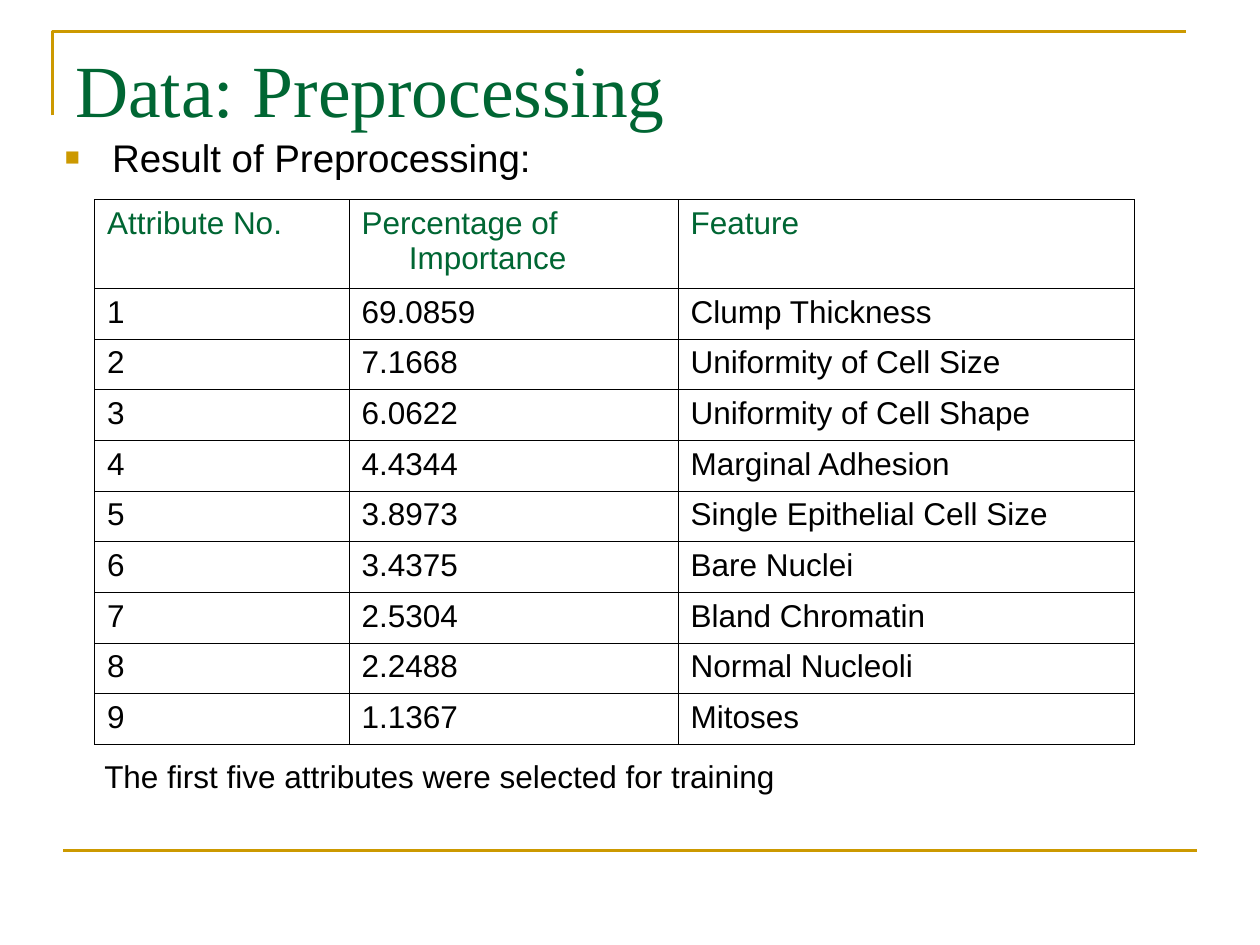
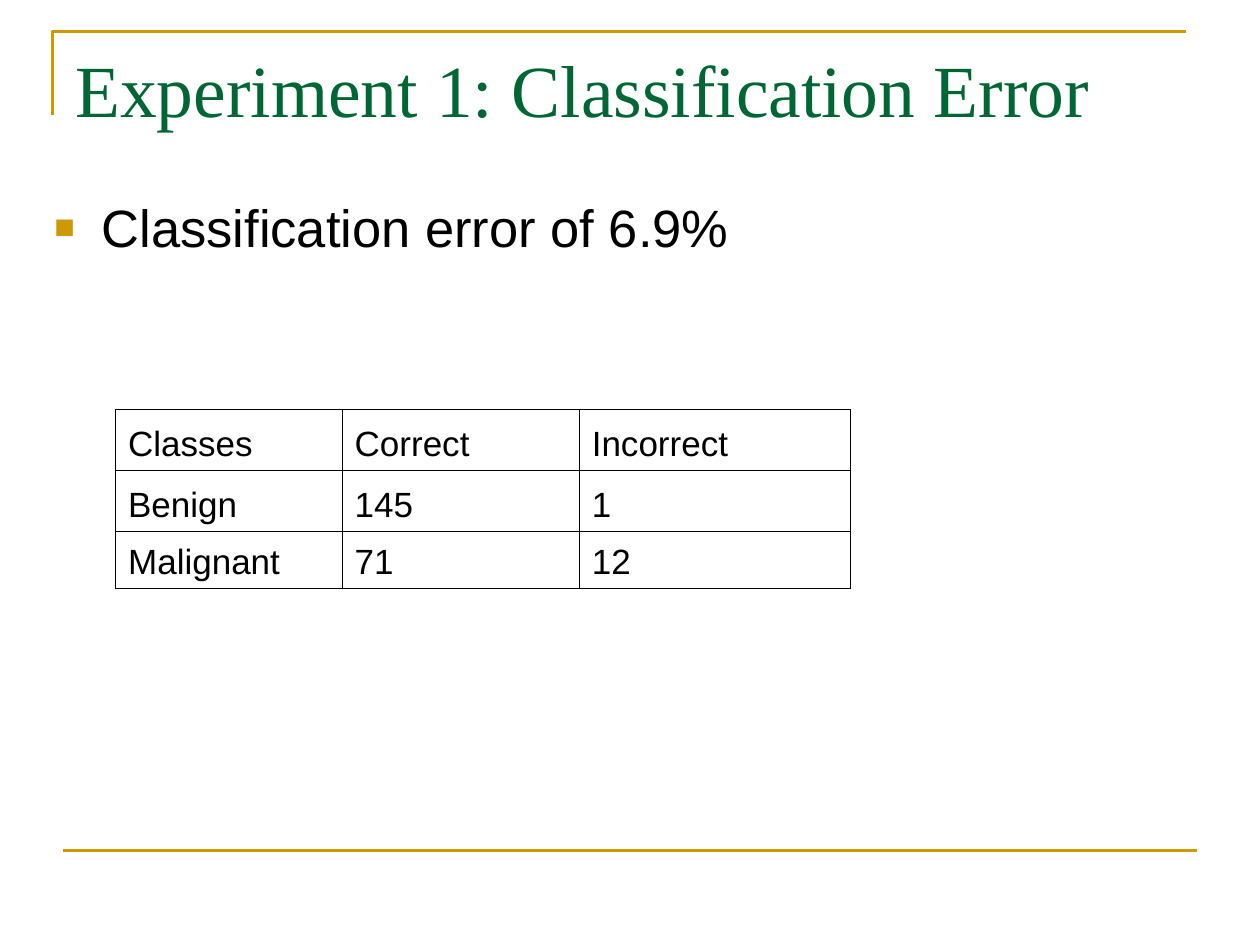
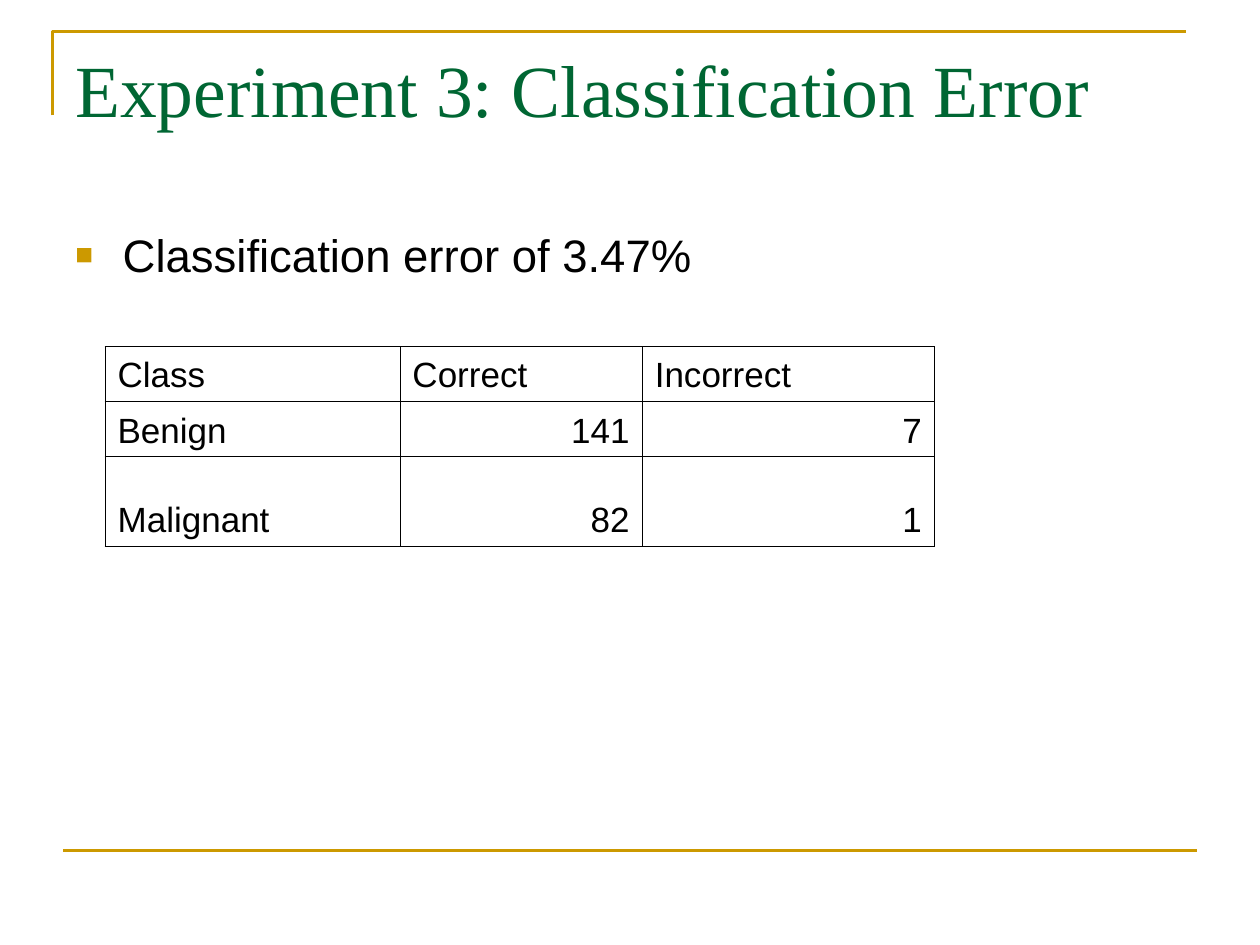
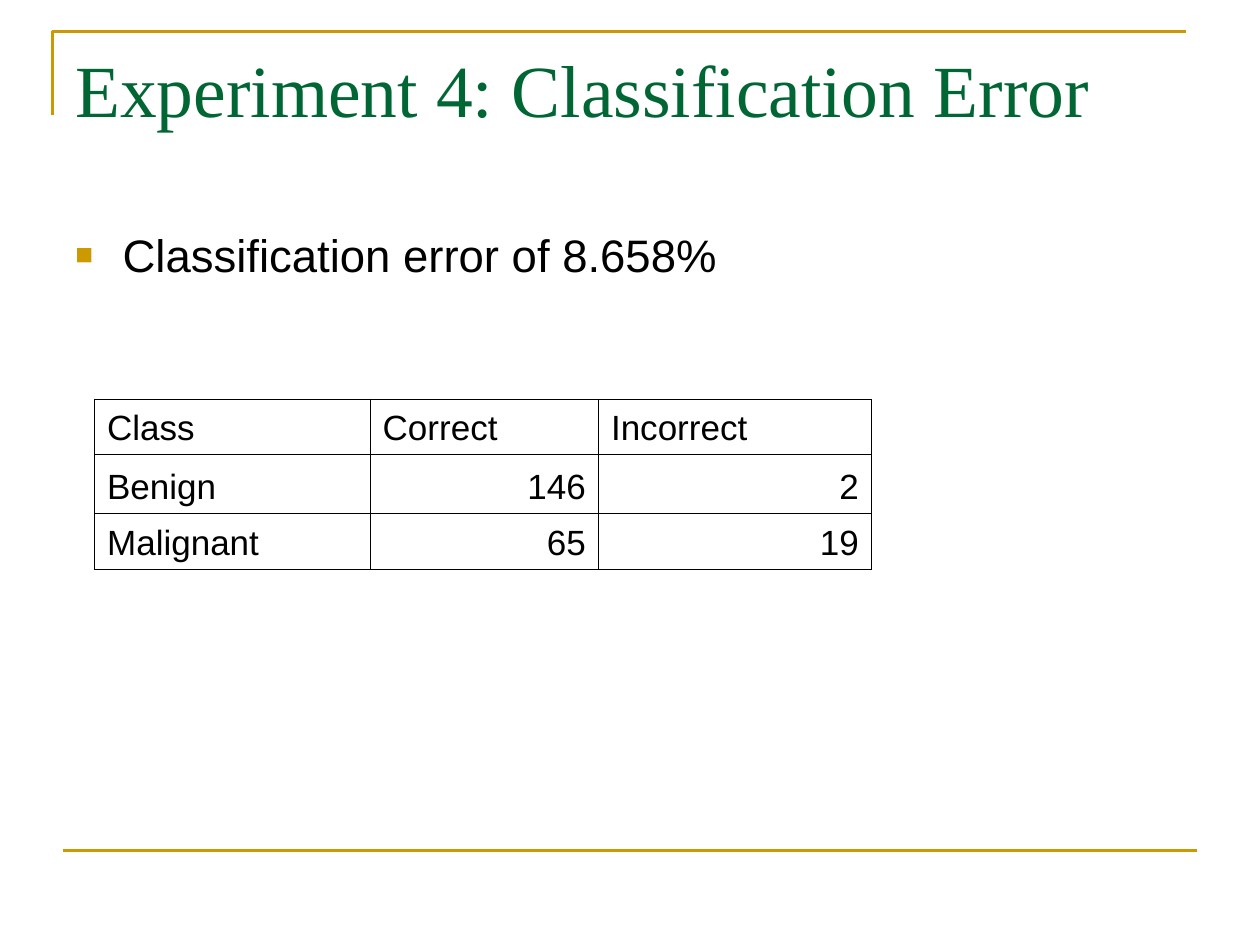
from lxml.etree import SubElement, Element
from pptx import Presentation
from pptx.dml.color import RGBColor
from pptx.enum.shapes import MSO_CONNECTOR as Link
from pptx.enum.text import MSO_ANCHOR as Anchor, PP_ALIGN as Align
from pptx.oxml.ns import qn
from pptx.util import Pt

GOLD = RGBColor(0xCC, 0x99, 0x00)
GREEN = RGBColor(0x00, 0x66, 0x33)
BLACK = RGBColor(0x00, 0x00, 0x00)
SANS, SERIF = "Arial", "Times New Roman"
HANG = Pt(27)

FEATURES = [
    ["Attribute No.", "Percentage of Importance", "Feature"],
    ["1", "69.0859", "Clump Thickness"],
    ["2", "7.1668", "Uniformity of Cell Size"],
    ["3", "6.0622", "Uniformity of Cell Shape"],
    ["4", "4.4344", "Marginal Adhesion"],
    ["5", "3.8973", "Single Epithelial Cell Size"],
    ["6", "3.4375", "Bare Nuclei"],
    ["7", "2.5304", "Bland Chromatin"],
    ["8", "2.2488", "Normal Nucleoli"],
    ["9", "1.1367", "Mitoses"],
]


def style(para, size, color=BLACK, name=SANS):
    font = para.font
    font.size, font.name = Pt(size), name
    font.color.rgb = color


def indent(para):
    props = para._p.get_or_add_pPr()
    props.set("marL", str(HANG))
    props.set("indent", str(-HANG))
    return props


def add_text(slide, box, text, wrap=True):
    frame = slide.shapes.add_textbox(*map(Pt, box)).text_frame
    frame.word_wrap = wrap
    para = frame.paragraphs[0]
    para.text = text
    return para


def add_bullet(slide, box, text, size):
    para = add_text(slide, box, text)
    para.space_before = Pt(size / 4)
    props = indent(para)
    tint = SubElement(props, qn("a:buClr"))
    SubElement(tint, qn("a:srgbClr"), val=str(GOLD))
    SubElement(props, qn("a:buSzPct"), val="65000")
    SubElement(props, qn("a:buFont"), typeface=SANS)
    SubElement(props, qn("a:buChar"), char="■")
    style(para, size)
    return para


def add_frame(slide, box):
    left, top, width, height = box
    pen = slide.shapes.build_freeform(Pt(left), Pt(top + 48))
    pen.add_line_segments(
        [(Pt(left), Pt(top)), (Pt(left + width), Pt(top))], close=False)
    corner = pen.convert_to_shape()
    corner.shadow.inherit = False
    corner.fill.background()
    base = Pt(top + height)
    rule = slide.shapes.add_connector(
        Link.STRAIGHT, Pt(left + 6), base, Pt(left + 6 + width), base)
    SubElement(rule._element.spPr, qn("a:effectLst"))
    for shape in (corner, rule):
        shape.line.color.rgb = GOLD
        shape.line.width = Pt(1.5)


def add_page(deck, title):
    slide = deck.slides.add_slide(deck.slide_layouts[6])
    add_frame(slide, (30, 18, 648, 468))
    style(add_text(slide, (36, 21.6, 648, 90), title), 42, GREEN, SERIF)
    return slide


def add_edges(cell):
    props = cell._tc.get_or_add_tcPr()
    for spot, side in enumerate(("lnL", "lnR", "lnT", "lnB")):
        edge = Element(qn("a:" + side), w=str(Pt(0.45)))
        fill = SubElement(edge, qn("a:solidFill"))
        SubElement(fill, qn("a:srgbClr"), val=str(BLACK))
        props.insert(spot, edge)


def add_grid(slide, spot, cols, rows, data, size, head=BLACK,
             anchor=Anchor.BOTTOM, hang=0, right=False):
    box = (*spot, sum(cols), sum(rows))
    table = slide.shapes.add_table(
        len(rows), len(cols), *map(Pt, box)).table
    table.first_row = table.horz_banding = False
    for col, width in zip(table.columns, cols):
        col.width = Pt(width)
    for r, (row, height, line) in enumerate(zip(table.rows, rows, data)):
        row.height = Pt(height)
        for c, (cell, text) in enumerate(zip(row.cells, line)):
            cell.margin_left = cell.margin_right = Pt(7.2)
            cell.margin_top = cell.margin_bottom = Pt(3.6)
            cell.vertical_anchor = anchor
            cell.fill.background()
            add_edges(cell)
            para = cell.text_frame.paragraphs[0]
            para.text = text
            if c >= len(cols) - hang:
                indent(para)
            if right and r and c:
                para.alignment = Align.RIGHT
            style(para, size, BLACK if r else head)


def add_data(deck):
    slide = add_page(deck, "Data: Preprocessing")
    para = add_bullet(
        slide, (30, 78, 636, 30), "Result of Preprocessing:", 22)
    para.line_spacing = 0.8
    add_grid(slide, (54, 114), (145.5, 188, 260.5), [50.8] + [28.95] * 9,
             FEATURES, 18, GREEN, Anchor.TOP, hang=2)
    note = add_text(slide, (52.5, 429, 397.5, 29),
                    "The first five attributes were selected for training",
                    wrap=False)
    style(note, 18)


def add_trial(deck, number, error, box, size, spot, cols, rows,
              label, benign, malign, **look):
    slide = add_page(deck, f"Experiment {number}: Classification Error")
    add_bullet(slide, box, f"Classification error of {error}", size)
    data = [[label, "Correct", "Incorrect"],
            ["Benign", *benign], ["Malignant", *malign]]
    add_grid(slide, spot, cols, rows, data, 20, **look)


def main():
    deck = Presentation()
    deck.slide_width, deck.slide_height = Pt(720), Pt(540)
    add_data(deck)
    add_trial(deck, 1, "6.9%", (24, 108, 648, 84), 30,
              (66, 234), (129.5, 135.5, 155), (34.8, 35, 32.4),
              "Classes", ("145", "1"), ("71", "12"))
    add_trial(deck, 3, "3.47%", (36, 126, 564, 54), 26,
              (60, 198), (168.5, 138.5, 167), (31.5, 31.5, 51.2),
              "Class", ("141", "7"), ("82", "1"), hang=3, right=True)
    add_trial(deck, 4, "8.658%", (36, 126, 498, 66), 26,
              (54, 228), (157.5, 130.5, 156), (31.5, 33.7, 32.2),
              "Class", ("146", "2"), ("65", "19"), hang=3, right=True)
    deck.save("out.pptx")


if __name__ == "__main__":
    main()
